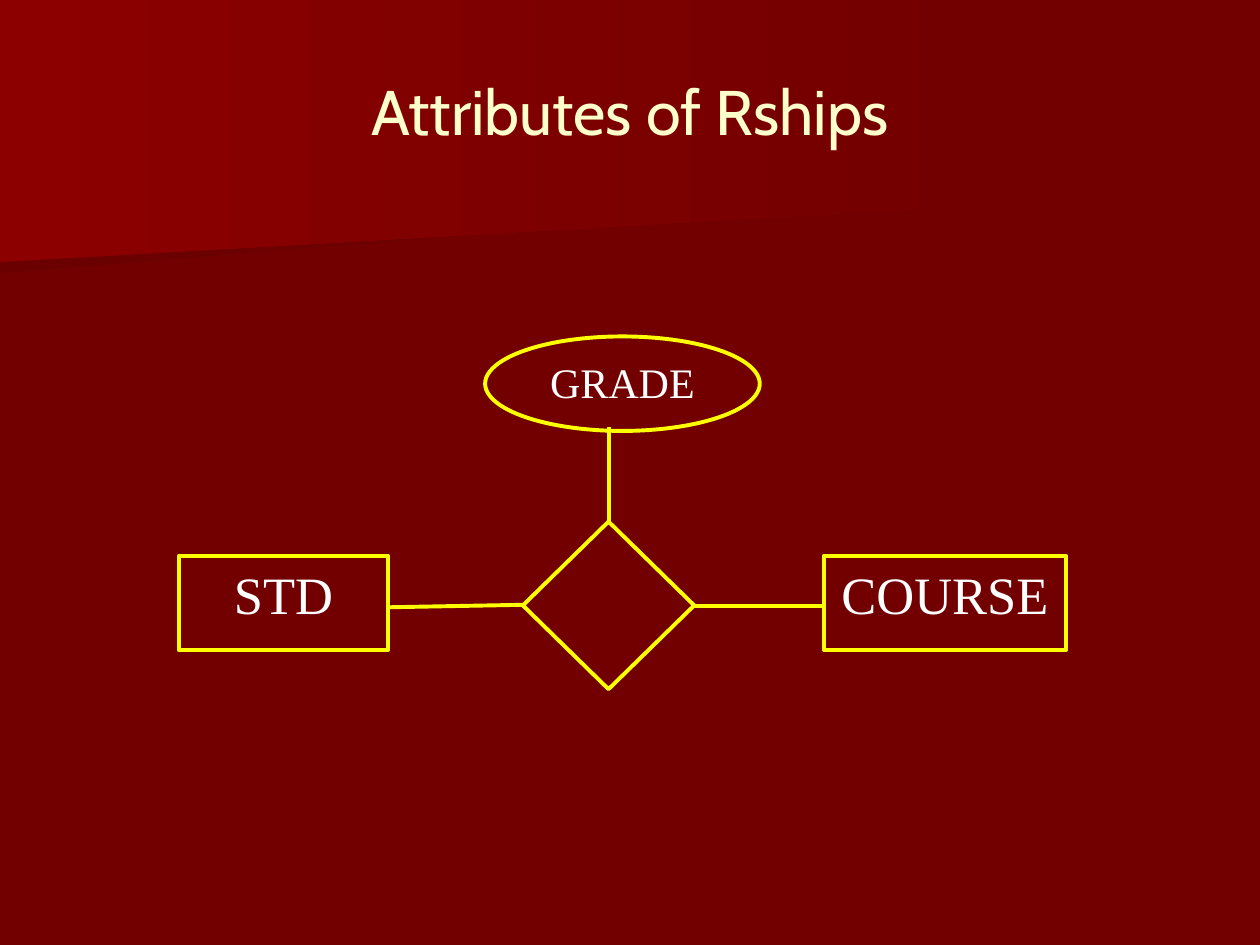
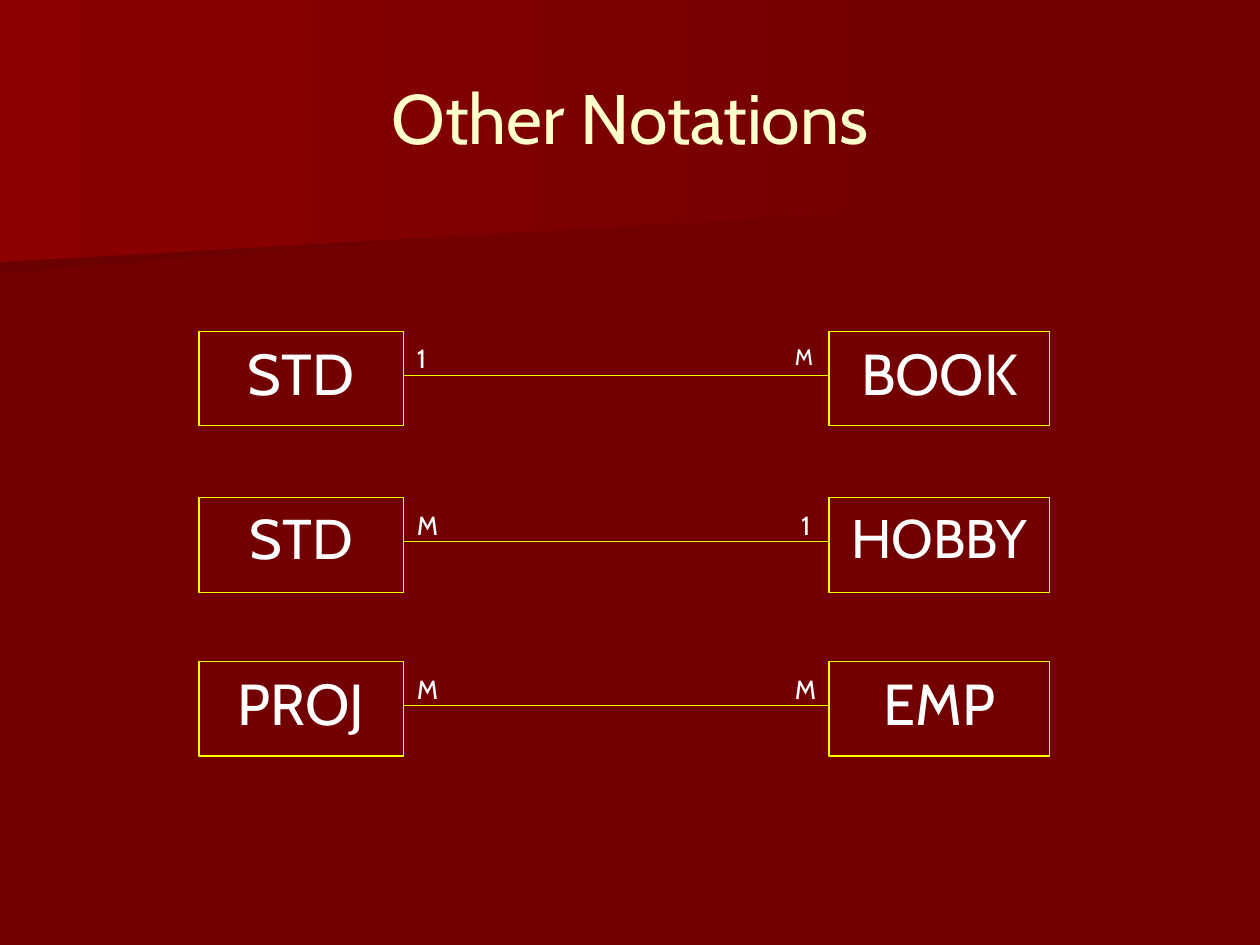
import pptx
import pptx.dml.color
import pptx.enum.shapes
import pptx.enum.text
import pptx.oxml
import pptx.oxml.ns
import pptx.util

Inches = pptx.util.Inches
RGBColor = pptx.dml.color.RGBColor
SHAPE = pptx.enum.shapes.MSO_SHAPE
ALIGN = pptx.enum.text.PP_ALIGN
ANCHOR = pptx.enum.text.MSO_ANCHOR

DARK_RED = RGBColor(0x72, 0x00, 0x00)
SHADE_RED = RGBColor(0x6B, 0x00, 0x00)
BRIGHT_RED = RGBColor(0x8C, 0x00, 0x00)
CREAM = RGBColor(0xFF, 0xFF, 0xCC)
YELLOW = RGBColor(0xFF, 0xFF, 0x00)
WHITE = RGBColor(0xFF, 0xFF, 0xFF)
SANS = "Cabin"
SERIF = "Times New Roman"

# Outline and left-hand colour of each band; all fade into the background.
BANDS = [
    ([(7.78, 1.53), (0, 2.17), (0, 1.01), (7.79, 1.01), (7.78, 1.28)], SHADE_RED),
    ([(7.92, 1.62), (0, 2.08), (0, 0), (7.92, 0)], BRIGHT_RED),
]

# Title, box (left, top, width, height), size
ATTRIBUTES_TITLE = ("Attributes of Rships", (0.25, 0.25, 9.5, 1.25), 36)
NOTATIONS_TITLE = ("Other Notations", (0.5, 0.3, 9, 1.25), 40)

# Preset, box, text, size
ATTRIBUTE_NODES = [
    (SHAPE.DIAMOND, (4.15, 4.14, 1.36, 1.33), "", 24),
    (SHAPE.RECTANGLE, (1.42, 4.41, 1.66, 0.75), "STD", 30),
    (SHAPE.RECTANGLE, (6.54, 4.41, 1.92, 0.75), "COURSE", 30),
    (SHAPE.OVAL, (3.85, 2.67, 2.18, 0.75), "GRADE", 24),
]
ATTRIBUTE_LINKS = [
    ((5.51, 4.81), (6.54, 4.81)),
    ((3.08, 4.82), (4.15, 4.8)),
    ((4.83, 4.14), (4.83, 3.39)),
]

# Row top, then (entity, size, cardinality, size) for the left and right ends
NOTATION_ROWS = [
    (2.63, ("STD", 33, "1", 15), ("BOOK", 33, "M", 12.8)),
    (3.95, ("STD", 32, "M", 15), ("HOBBY", 31, "1", 15)),
    (5.25, ("PROJ", 33, "M", 15), ("EMP", 33, "M", 15)),
]
ENTITY_HEIGHT = 0.75
LEFT_ENTITY, RIGHT_ENTITY = (1.58, 1.62), (6.58, 1.75)  # left, width
LINK_START, LINK_DROP = 3.21, 0.35
LABEL_DROP, LABEL_SIZE = 0.04, 0.38
RIGHT_LABEL_LEFT = {"M": 6.21, "1": 6.26}


def write(shape, text, size, font_name, color=WHITE, align=ALIGN.CENTER, anchor=ANCHOR.TOP):
    frame = shape.text_frame
    frame.word_wrap = True
    frame.vertical_anchor = anchor
    paragraph = frame.paragraphs[0]
    paragraph.alignment = align
    run = paragraph.add_run()
    run.text = text
    run.font.size = pptx.util.Pt(size)
    run.font.name = font_name
    run.font.color.rgb = color


def add_text(slide, box, *text_style, **placement):
    write(slide.shapes.add_textbox(*map(Inches, box)), *text_style, **placement)


def add_node(slide, preset, box, text, size, font_name, line_width):
    node = slide.shapes.add_shape(preset, *map(Inches, box))
    node.shadow.inherit = False
    node.fill.background()
    node.line.color.rgb = YELLOW
    node.line.width = pptx.util.Pt(line_width)
    if text:
        write(node, text, size, font_name)


def add_link(slide, start, end, line_width):
    link = slide.shapes.add_connector(
        pptx.enum.shapes.MSO_CONNECTOR.STRAIGHT, *map(Inches, start + end))
    link.line.color.rgb = YELLOW
    link.line.width = pptx.util.Pt(line_width)
    properties = link._element.spPr
    properties.append(properties.makeelement(pptx.oxml.ns.qn("a:effectLst"), {}))


def add_band(slide, points, color):
    corners = [(Inches(x), Inches(y)) for x, y in points]
    builder = slide.shapes.build_freeform(*corners[0])
    builder.add_line_segments(corners[1:], close=True)
    band = builder.convert_to_shape()
    band.shadow.inherit = False
    band.line.fill.background()
    band.fill.gradient()
    band.fill.gradient_angle = 0
    for stop, position, stop_color in zip(band.fill.gradient_stops, (0, 1), (color, DARK_RED)):
        stop.position = position
        stop.color.rgb = stop_color


def add_titled_slide(presentation, title, box, size):
    slide = presentation.slides.add_slide(presentation.slide_layouts[6])
    slide.background.fill.solid()
    slide.background.fill.fore_color.rgb = DARK_RED
    for points, color in BANDS:
        add_band(slide, points, color)
    add_text(slide, box, title, size, SANS, color=CREAM, anchor=ANCHOR.MIDDLE)
    return slide


def build_attributes(presentation):
    slide = add_titled_slide(presentation, *ATTRIBUTES_TITLE)
    for node in ATTRIBUTE_NODES:
        add_node(slide, *node, SERIF, 2.25)
    for start, end in ATTRIBUTE_LINKS:
        add_link(slide, start, end, 2.25)


def build_notations(presentation):
    slide = add_titled_slide(presentation, *NOTATIONS_TITLE)
    for top, left_end, right_end in NOTATION_ROWS:
        ends = [
            (left_end, LEFT_ENTITY, LINK_START),
            (right_end, RIGHT_ENTITY, RIGHT_LABEL_LEFT[right_end[2]]),
        ]
        for (entity, size, cardinality, label_size), (left, width), label_left in ends:
            add_node(slide, SHAPE.RECTANGLE, (left, top, width, ENTITY_HEIGHT),
                     entity, size, SANS, 0.75)
            add_text(slide, (label_left, top + LABEL_DROP, LABEL_SIZE, LABEL_SIZE),
                     cardinality, label_size, SANS, align=ALIGN.LEFT)
        link_y = top + LINK_DROP
        add_link(slide, (LINK_START, link_y), (RIGHT_ENTITY[0], link_y), 0.75)


def main():
    presentation = pptx.Presentation()
    presentation.slide_width = Inches(10)
    presentation.slide_height = Inches(7.5)
    build_attributes(presentation)
    build_notations(presentation)
    presentation.save("out.pptx")


if __name__ == "__main__":
    main()
